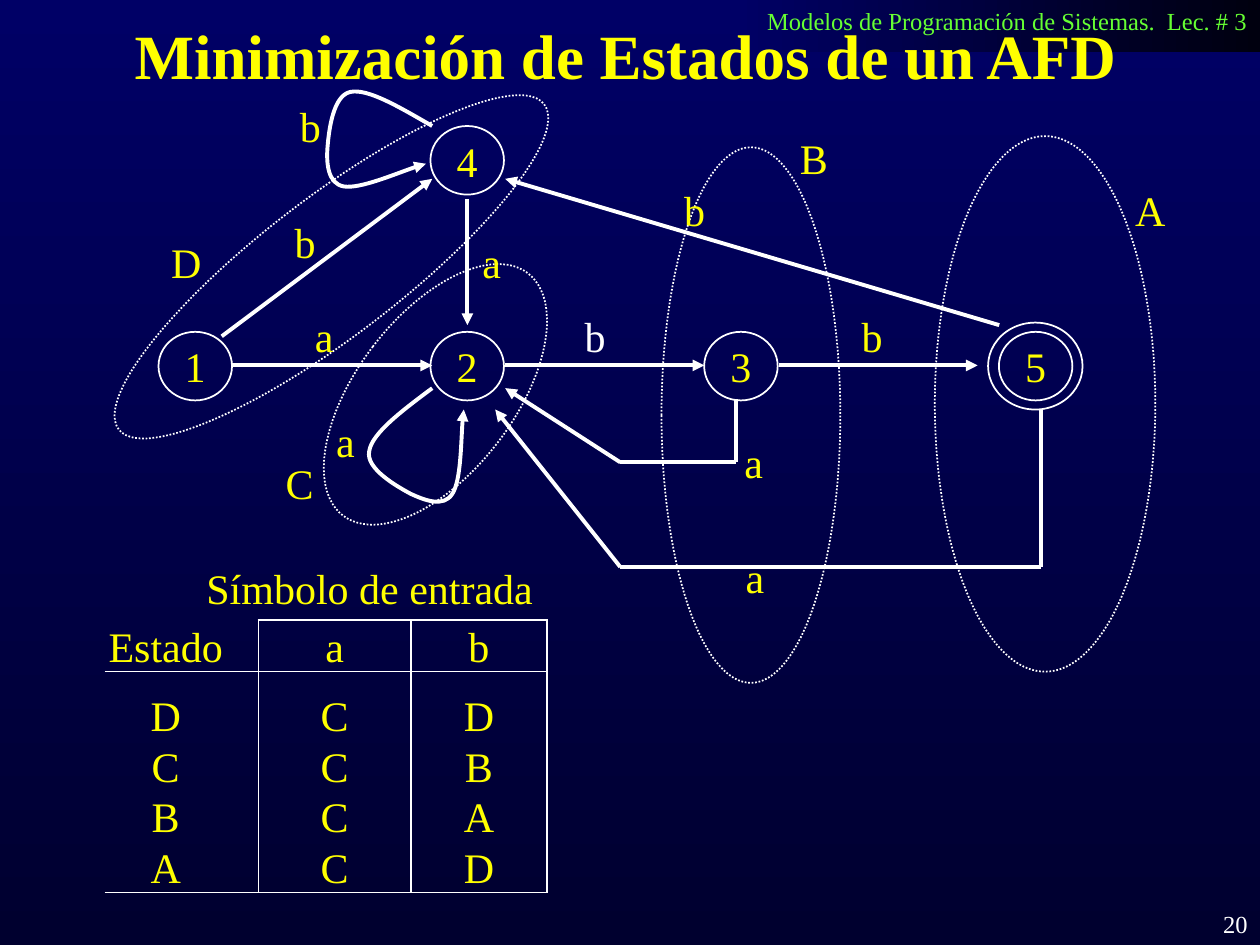
from dataclasses import dataclass
from itertools import pairwise

from lxml.etree import SubElement
from pptx import Presentation
from pptx.dml.color import RGBColor
from pptx.enum.dml import MSO_LINE
from pptx.enum.shapes import MSO_CONNECTOR, MSO_SHAPE
from pptx.enum.text import MSO_ANCHOR as Anchor, PP_ALIGN as Align
from pptx.oxml.ns import qn
from pptx.util import Pt

YELLOW = RGBColor(0xFF, 0xFF, 0x00)
WHITE = RGBColor(0xFF, 0xFF, 0xFF)
GREEN = RGBColor(0x66, 0xFF, 0x33)
NAVY = RGBColor(0x00, 0x00, 0x66)
DEEP_NAVY = RGBColor(0x00, 0x00, 0x2F)
NEAR_BLACK = RGBColor(0x00, 0x00, 0x0F)
FONT = "Times New Roman"
NO_TABLE_STYLE = "{2D5ABB26-0587-4C30-8999-92F81FD0307C}"

Point = tuple[float, float]


@dataclass(frozen=True)
class Oval:
    x: float
    y: float
    width: float
    height: float
    text: str = ""
    rotation: float = 0
    dotted: bool = False


@dataclass(frozen=True)
class Label:
    text: str
    left: float
    top: float
    width: float = 29
    height: float = 36
    size: float = 24
    color: RGBColor = YELLOW
    align: Align = Align.LEFT
    bold: bool = False


STATE_SIZE = (42, 39.2)
STATES = [
    Oval(111.6, 209.2, *STATE_SIZE, "1"),
    Oval(267, 209.2, *STATE_SIZE, "2"),
    Oval(423.4, 209.2, *STATE_SIZE, "3"),
    Oval(267, 91.6, *STATE_SIZE, "4"),
    Oval(591.8, 209.2, *STATE_SIZE, "5"),
    Oval(591.6, 209.2, 54, 49.7),
]
CLASSES = [
    Oval(189.4, 152.5, 79.2, 306, rotation=52.6, dotted=True),
    Oval(597.2, 230.8, 126, 306, dotted=True),
    Oval(429.1, 237.2, 102.2, 306, dotted=True),
    Oval(248.8, 225.4, 90, 174.2, rotation=37.3, dotted=True),
]
TRANSITIONS: list[list[Point]] = [
    [(132.5, 208.8), (247, 208.8)],
    [(288.7, 208.8), (402.5, 208.8)],
    [(445, 208.8), (558.7, 208.8)],
    [(267.1, 113.8), (267.1, 185.8)],
    [(126.7, 192.2), (247, 102.2)],
    [(571, 185.8), (288.7, 102.2)],
    [(594.7, 234), (594.7, 324), (354.5, 324), (283, 234)],
    [(420.5, 228.2), (420.5, 264.2), (354.5, 264.2), (288.7, 221.8)],
]
LOOPS: list[list[Point]] = [
    [(247, 221.8), (229.7, 234.7), (212.4, 247.7), (211, 257.8),
     (208.8, 267.8), (226.8, 277.9), (234.7, 282.2),
     (242.6, 285.8), (253.4, 290.2), (258.5, 282.2),
     (263.5, 274.3), (263.5, 243.4), (265, 234)],
    [(247, 72), (228.2, 61.2), (210.2, 50.4), (200.2, 52.6),
     (190.1, 54.7), (187.9, 75.6), (187.2, 84.2),
     (186.5, 92.9), (187.2, 105.1), (196.6, 106.6),
     (205.9, 108), (234.7, 95.8), (243.4, 93.6)],
]
LABELS = [
    Label("Modelos de Programación de Sistemas.  Lec. # 3",
          431.3, 0, 288.7, 24.5, 14, GREEN),
    Label("b", 327, 174.2, color=WHITE),
    Label("b", 485.3, 174.2),
    Label("a", 172.8, 174.2),
    Label("b", 161.3, 120.2),
    Label("b", 383.8, 102.2),
    Label("a", 419, 311.8),
    Label("a", 418.3, 246.2),
    Label("a", 185, 234),
    Label("a", 268.6, 131.8),
    Label("b", 164.2, 54),
    Label("A", 641.5, 102.2),
    Label("B", 450, 72),
    Label("C", 156.2, 257.8),
    Label("D", 90.7, 131.8),
    Label("Minimización de Estados de un AFD",
          25.2, 5.8, 664.6, 50.4, 36, align=Align.CENTER, bold=True),
    Label("Símbolo de entrada", 110.9, 318.2, 237.6),
    Label("20", 570.2, 516.2, 149.8, 23.8, 14, WHITE, Align.RIGHT),
]
MINIMIZED = [
    ("Estado", "a", "b"),
    ("D", "C", "D"),
    ("C", "C", "B"),
    ("B", "C", "A"),
    ("A", "C", "D"),
]
COLUMN_WIDTHS = (87.8, 87.2, 77.8)
ROW_HEIGHTS = (29.6, 39.6, 28.8, 28.8, 28.8)


def paint_gradient(fill, start: RGBColor, end: RGBColor, angle: float) -> None:
    fill.gradient()
    fill.gradient_angle = angle
    for stop, color in zip(fill.gradient_stops, (start, end)):
        stop.color.rgb = color


def style_text(frame, size: float, color: RGBColor, align: Align, bold: bool = False) -> None:
    for paragraph in frame.paragraphs:
        paragraph.alignment = align
        for run in paragraph.runs:
            run.font.name, run.font.size = FONT, Pt(size)
            run.font.bold, run.font.color.rgb = bold, color


def style_line(line, width: float, arrow: bool = False) -> None:
    line.color.rgb = WHITE
    line.width = Pt(width)
    if arrow:
        SubElement(line._get_or_add_ln(), qn("a:tailEnd"), type="triangle")


def draw_oval(shapes, oval: Oval) -> None:
    ellipse = shapes.add_shape(
        MSO_SHAPE.OVAL, Pt(oval.x - oval.width / 2), Pt(oval.y - oval.height / 2),
        Pt(oval.width), Pt(oval.height))
    ellipse.shadow.inherit = False
    ellipse.rotation = oval.rotation
    ellipse.fill.background()
    style_line(ellipse.line, 1)
    if oval.dotted:
        ellipse.line.dash_style = MSO_LINE.ROUND_DOT
    if oval.text:
        ellipse.text_frame.text = oval.text
        ellipse.text_frame.word_wrap = False
        ellipse.text_frame.vertical_anchor = Anchor.MIDDLE
        style_text(ellipse.text_frame, 24, YELLOW, Align.CENTER)


def draw_label(shapes, label: Label) -> None:
    frame = shapes.add_textbox(
        Pt(label.left), Pt(label.top), Pt(label.width), Pt(label.height)).text_frame
    frame.text = label.text
    frame.word_wrap = label.align != Align.LEFT
    style_text(frame, label.size, label.color, label.align, label.bold)


def draw_transition(shapes, points: list[Point]) -> None:
    for start, end in pairwise(points):
        segment = shapes.add_connector(MSO_CONNECTOR.STRAIGHT, *map(Pt, start + end))
        style_line(segment.line, 2.25, arrow=end == points[-1])
        SubElement(segment._element.spPr, qn("a:effectLst"))


def draw_loop(shapes, points: list[Point]) -> None:
    (x, y), *rest = [(Pt(px), Pt(py)) for px, py in points]
    builder = shapes.build_freeform(x, y)
    builder.add_line_segments(rest, close=False)
    loop = builder.convert_to_shape()
    outline = next(loop._element.iter(qn("a:path")))
    segments = outline.findall(qn("a:lnTo"))
    for first in range(0, len(segments), 3):
        curve = SubElement(outline, qn("a:cubicBezTo"))
        for segment in segments[first:first + 3]:
            curve.append(segment[0])
            outline.remove(segment)
    loop.shadow.inherit = False
    loop.fill.background()
    style_line(loop.line, 2.25, arrow=True)


def add_border(cell, side: str) -> None:
    border = SubElement(cell._tc.get_or_add_tcPr(), qn(f"a:{side}"), w=str(Pt(1)))
    SubElement(SubElement(border, qn("a:solidFill")), qn("a:srgbClr"), val=str(WHITE))


def draw_table(shapes, left: float, top: float) -> None:
    table = shapes.add_table(
        len(MINIMIZED), len(COLUMN_WIDTHS), Pt(left), Pt(top),
        Pt(sum(COLUMN_WIDTHS)), Pt(sum(ROW_HEIGHTS))).table
    table.first_row = table.horz_banding = False
    table._tbl.tblPr.find(qn("a:tableStyleId")).text = NO_TABLE_STYLE
    for column, width in zip(table.columns, COLUMN_WIDTHS):
        column.width = Pt(width)
    for r, (row, height) in enumerate(zip(table.rows, ROW_HEIGHTS)):
        row.height = Pt(height)
        for c, cell in enumerate(row.cells):
            cell.text = MINIMIZED[r][c]
            cell.margin_left = cell.margin_top = cell.margin_bottom = 0
            cell.margin_right = Pt(18 if c == 0 else 0)
            cell.vertical_anchor = Anchor.BOTTOM
            style_text(cell.text_frame, 24, YELLOW, Align.CENTER)
            add_border(cell, "lnR")
            if r == 0 and c > 0:
                add_border(cell, "lnT")
            if r in (0, len(MINIMIZED) - 1):
                add_border(cell, "lnB")
            cell.fill.background()


def main() -> None:
    deck = Presentation()
    deck.slide_width, deck.slide_height = Pt(720), Pt(540)
    slide = deck.slides.add_slide(deck.slide_layouts[6])
    shapes = slide.shapes
    paint_gradient(slide.background.fill, NAVY, DEEP_NAVY, 270)
    banner = shapes.add_shape(MSO_SHAPE.RECTANGLE, Pt(419.8), 0, Pt(300.2), Pt(30))
    banner.shadow.inherit = False
    banner.line.fill.background()
    paint_gradient(banner.fill, NEAR_BLACK, NAVY, 180)
    for oval in STATES + CLASSES:
        draw_oval(shapes, oval)
    for transition in TRANSITIONS:
        draw_transition(shapes, transition)
    for loop in LOOPS:
        draw_loop(shapes, loop)
    for label in LABELS:
        draw_label(shapes, label)
    draw_table(shapes, 59.8, 354.2)
    deck.save("out.pptx")


if __name__ == "__main__":
    main()
